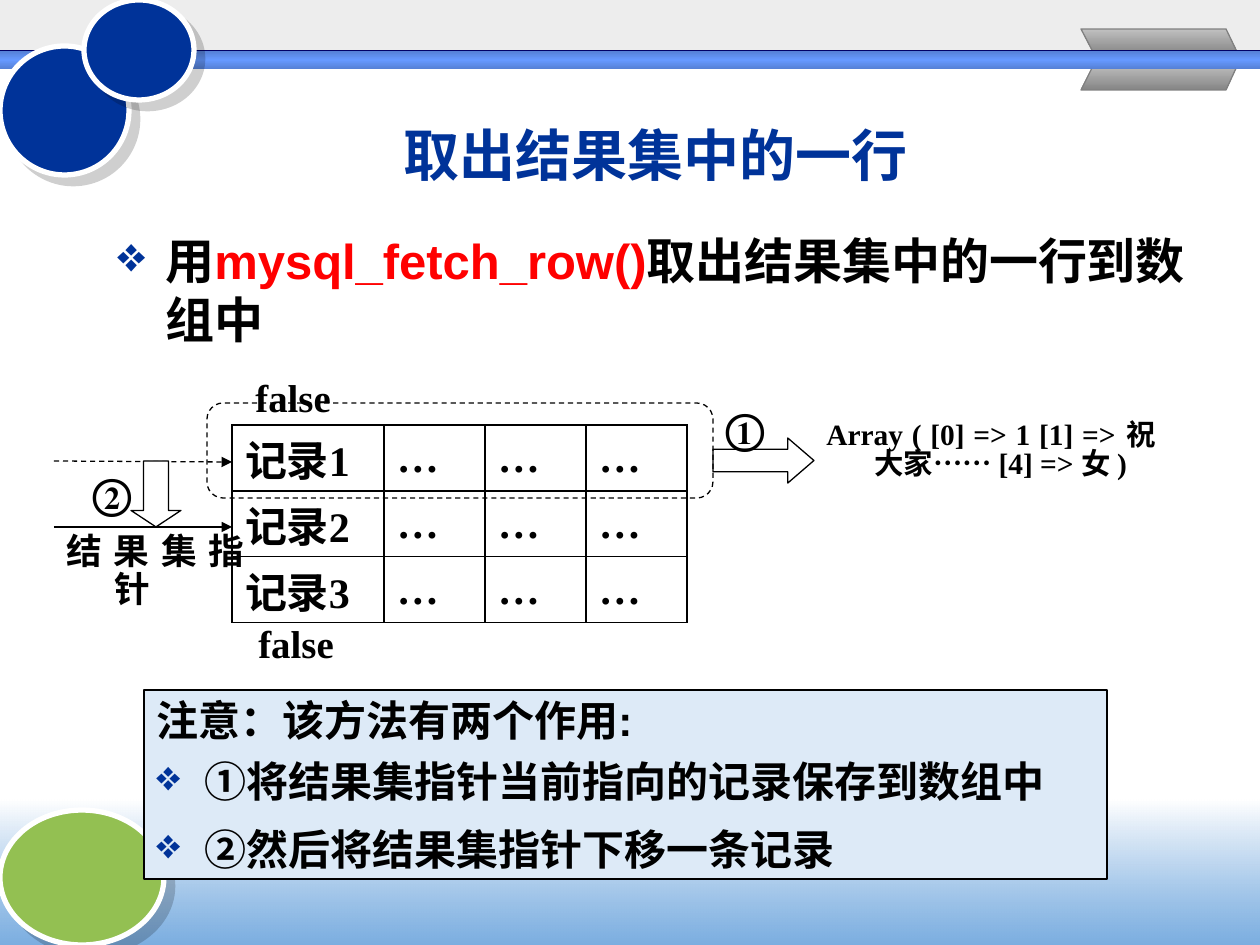
from lxml.etree import SubElement
from pptx import Presentation
from pptx.dml.color import RGBColor
from pptx.enum.dml import MSO_LINE
from pptx.enum.shapes import MSO_CONNECTOR, MSO_SHAPE
from pptx.enum.text import MSO_ANCHOR, PP_ALIGN
from pptx.oxml.ns import qn
from pptx.util import Emu, Pt

PX = 914400 / 126
BLUE, RED, BLACK, WHITE = "003399", "FF0000", "000000", "FFFFFF"
SERIF, SANS = "Times New Roman", "Arial"


def px(length):
    return Emu(round(length * PX))


def rgb(color):
    return RGBColor.from_string(color)


def add_color(parent, color, alpha=100):
    node = SubElement(parent, qn("a:srgbClr"), val=color)
    if alpha < 100:
        SubElement(node, qn("a:alpha"), val=str(alpha * 1000))


class SlideBuilder:
    def __init__(self, slide):
        self.slide = slide
        self.shapes = slide.shapes

    def style(self, shape, fill=None, line=None, width=0.75, dash=False):
        """A fill is a hex string, a list of (position, color, alpha) stops, or None."""
        shape.shadow.inherit = False
        if isinstance(fill, list):
            shape.fill.gradient()
            shape.fill.gradient_angle = 270
            stops = shape._element.spPr.find(".//" + qn("a:gsLst"))
            stops.clear()
            for position, color, alpha in fill:
                stop = SubElement(stops, qn("a:gs"), pos=str(position * 1000))
                add_color(stop, color, alpha)
        elif fill:
            shape.fill.solid()
            shape.fill.fore_color.rgb = rgb(fill)
        else:
            shape.fill.background()
        if line:
            self.stroke(shape.line, line, width, dash)
        else:
            shape.line.fill.background()

    def stroke(self, line, color, width, dash):
        line.color.rgb = rgb(color)
        line.width = Pt(width)
        if dash:
            line.dash_style = MSO_LINE.DASH

    def shape(self, kind, at, adjust=(), **look):
        shape = self.shapes.add_shape(kind, *map(px, at))
        for index, value in enumerate(adjust):
            shape.adjustments[index] = value
        self.style(shape, **look)
        return shape

    def bubble(self, at, fill, rotation=0):
        shape = self.shape(MSO_SHAPE.OVAL, at, fill=fill, line=WHITE, width=3)
        shape.rotation = rotation
        effects = shape._element.spPr.find(qn("a:effectLst"))
        shadow = SubElement(effects, qn("a:outerShdw"), dist=str(Pt(7.1)),
                            dir="2700000", algn="ctr", rotWithShape="0")
        add_color(shadow, BLACK, 19)

    def polygon(self, points, **look):
        builder = self.shapes.build_freeform(*points[0], scale=PX)
        builder.add_line_segments(points[1:], close=True)
        self.style(builder.convert_to_shape(), **look)

    def arrow(self, start, end, dash=False):
        line = self.shapes.add_connector(MSO_CONNECTOR.STRAIGHT, *map(px, start + end))
        self.stroke(line.line, BLACK, 0.75, dash)
        properties = line._element.spPr
        SubElement(properties.find(qn("a:ln")), qn("a:tailEnd"), type="triangle")
        SubElement(properties, qn("a:effectLst"))

    def font(self, span, size, name, color=BLACK):
        span.font.size = Pt(size)
        span.font.name = name
        span.font.bold = True
        span.font.color.rgb = rgb(color)

    def paragraph(self, para, spans, size, name, align=PP_ALIGN.LEFT, before=6,
                  spacing=None, hang=48, bullet=False):
        """Spans are (text, color) pairs."""
        para.alignment = align
        para.space_before = Pt(before)
        para.line_spacing = spacing
        for text, color in spans:
            span = para.add_run()
            span.text = text
            self.font(span, size, name, color)
        properties = para._p.get_or_add_pPr()
        properties.set("marL", str(px(hang)))
        properties.set("indent", str(-px(hang)))
        if bullet:
            add_color(SubElement(properties, qn("a:buClr")), BLUE)
            SubElement(properties, qn("a:buChar"), char="❖")

    def text(self, at, spans, size, name, anchor=MSO_ANCHOR.TOP, **layout):
        frame = self.shapes.add_textbox(*map(px, at)).text_frame
        frame.word_wrap = True
        frame.vertical_anchor = anchor
        self.paragraph(frame.paragraphs[0], spans, size, name, **layout)

    def label(self, at, text, size, spacing=None):
        self.text(at, [(text, BLACK)], size, SERIF,
                  align=PP_ALIGN.JUSTIFY, spacing=spacing)

    def table(self, at, widths, row_height, rows):
        size = (sum(widths), row_height * len(rows))
        table = self.shapes.add_table(len(rows), len(widths), *map(px, at + size)).table
        table.first_row = table.horz_banding = False
        for column, width in zip(table.columns, widths):
            column.width = px(width)
        for row, values in zip(table.rows, rows):
            row.height = px(row_height)
            for cell, value in zip(row.cells, values):
                self.cell(cell, value)

    def cell(self, cell, value):
        cell.text_frame.text = value
        self.font(cell.text_frame.paragraphs[0].runs[0], 24, SERIF)
        cell.vertical_anchor = MSO_ANCHOR.MIDDLE
        cell.margin_left = cell.margin_right = px(13)
        cell.margin_top = cell.margin_bottom = 0
        properties = cell._tc.get_or_add_tcPr()
        for side in "LRTB":
            border = SubElement(properties, qn("a:ln" + side), w=str(Pt(0.75)))
            add_color(SubElement(border, qn("a:solidFill")), BLACK)
        cell.fill.solid()
        cell.fill.fore_color.rgb = rgb(WHITE)


def main():
    deck = Presentation()
    deck.slide_width, deck.slide_height = px(1260), px(945)
    page = SlideBuilder(deck.slides.add_slide(deck.slide_layouts[6]))

    # Header and footer decoration
    page.shape(MSO_SHAPE.RECTANGLE, (0, 0, 1260, 66), fill=[(0, "EAEAEA", 81), (100, "EAEAEA", 81)])
    page.shape(MSO_SHAPE.RECTANGLE, (0, 800, 1260, 145), fill=[(0, WHITE, 100), (100, "5E9CDA", 81)])
    silver = [(0, "C0C0C0", 100), (100, "868686", 100)]
    for outer, inner in ((29, 54), (90, 64)):
        page.polygon([(1226, outer), (1238, inner), (1094, inner), (1081, outer)],
                     fill=silver, line="808080")
    page.bubble((0, 810, 164, 135), "93C052")
    page.shape(MSO_SHAPE.RECTANGLE, (0, 50, 1260, 18), fill="000066")
    page.shape(MSO_SHAPE.RECTANGLE, (0, 51, 1260, 18),
               fill=[(0, "5580D5", 100), (50, "6699FF", 100), (100, "5580D5", 100)])
    page.bubble((0, 46, 129, 129), BLUE, rotation=26.8)
    page.bubble((84, 0, 110, 100), BLUE)

    # Title and main point
    page.text((174, 106, 963, 97), [("取出结果集中的一行", BLUE)], 32, SANS,
              anchor=MSO_ANCHOR.MIDDLE, align=PP_ALIGN.CENTER, before=0, hang=0)
    page.text((105, 224, 1111, 674),
              [("用", BLACK), ("mysql_fetch_row()", RED), ("取出结果集中的一行到数组中", BLACK)],
              28, SANS, before=7, bullet=True)

    # Result set with its row pointer
    page.table((232, 425), (152, 101, 101, 101), 66,
               [[f"记录{number}"] + ["…"] * 3 for number in (1, 2, 3)])
    page.label((54, 527, 203, 66), "结果集指针", 20.4, 0.9)
    page.arrow((54, 461), (232, 462), dash=True)
    page.label((243, 373, 141, 62), "false", 22.2, 0.9)
    page.label((246, 619, 112, 62), "false", 22.2, 0.9)
    page.shape(MSO_SHAPE.RIGHT_ARROW, (713, 438, 101, 45), (0.5, 0.58), fill=WHITE, line=BLACK)
    page.shape(MSO_SHAPE.ROUNDED_RECTANGLE, (207, 403, 506, 95), (0.17,), line=BLACK, dash=True)
    page.label((814, 417, 354, 132), "Array ( [0] => 1 [1] => 祝大家…… [4] => 女 )", 16.8, 0.8)
    page.arrow((54, 527), (232, 527))
    page.shape(MSO_SHAPE.DOWN_ARROW, (131, 461, 50, 66), (0.5, 0.33), fill=WHITE, line=BLACK)
    page.label((713, 396, 76, 66), "①", 24)
    page.label((80, 461, 76, 66), "②", 24)

    # Note box
    note = page.shape(MSO_SHAPE.RECTANGLE, (144, 690, 963, 189), fill="DDEAF7", line=BLACK)
    frame = note.text_frame
    frame.word_wrap = True
    frame.vertical_anchor = MSO_ANCHOR.MIDDLE
    notes = ["注意：该方法有两个作用:", "①将结果集指针当前指向的记录保存到数组中", "②然后将结果集指针下移一条记录"]
    for index, (text, before) in enumerate(zip(notes, (6, 6, 10))):
        para = frame.add_paragraph() if index else frame.paragraphs[0]
        page.paragraph(para, [(text, BLACK)], 24, SANS, before=before, bullet=index > 0)

    deck.save("out.pptx")


if __name__ == "__main__":
    main()
